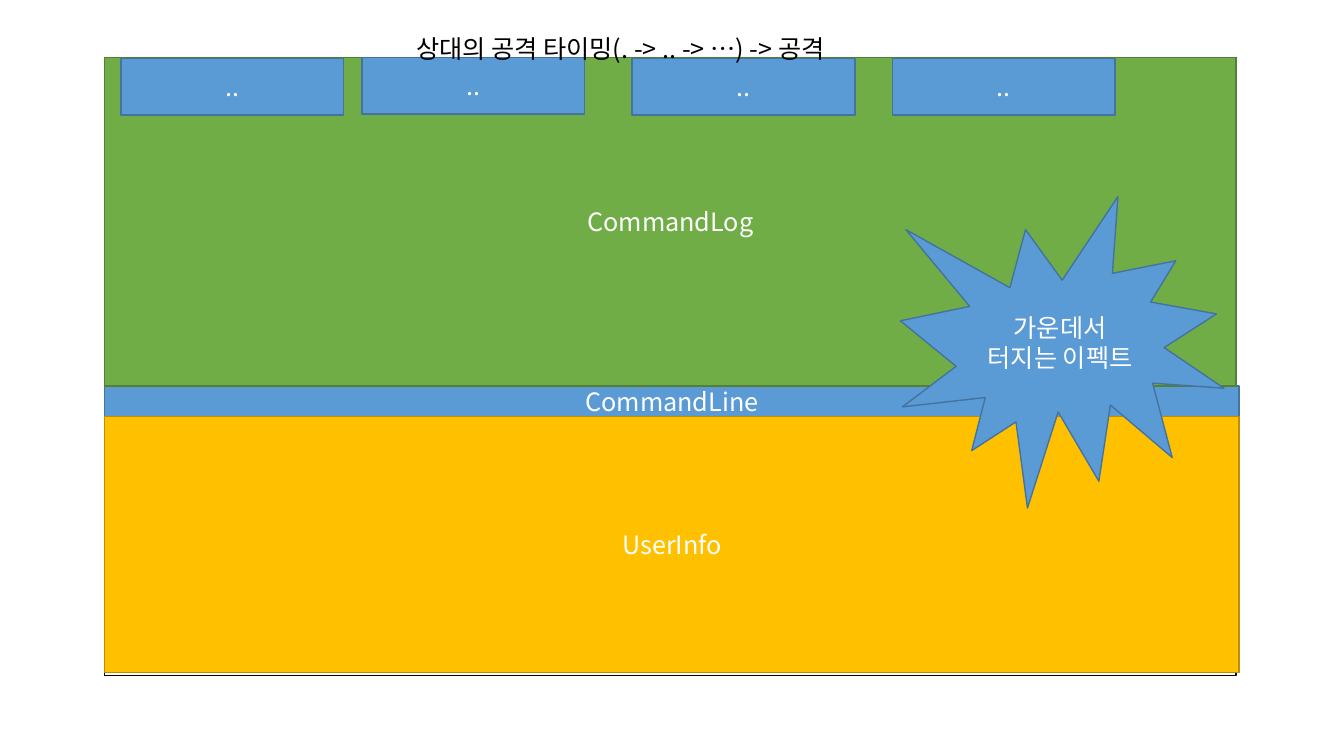
import pptx
import pptx.dml.color
import pptx.enum.shapes
import pptx.enum.text
import pptx.oxml.ns
import pptx.util
import lxml.etree

THEME = {
    "font": "Noto Sans CJK KR", "size": 18, "line": 1,
    "text": "FFFFFF", "caption": "000000",
    "frame": ("FFFFFF", "000000"),
    "blue": ("5B9BD5", "43739E"),
    "gold": ("FFC000", "BD8E00"),
    "green": ("70AD47", "538035"),
}
RECT = pptx.enum.shapes.MSO_SHAPE.RECTANGLE
BURST = pptx.enum.shapes.MSO_SHAPE.EXPLOSION1
RGB = pptx.dml.color.RGBColor.from_string

prs = pptx.Presentation()
prs.slide_width = pptx.util.Inches(13.33)
prs.slide_height = pptx.util.Inches(7.5)
s = prs.slides.add_slide(prs.slide_layouts[6])


def area(left, top, width, height):
    """Turn percentages of the slide's width and height into lengths."""
    return [round(share * side / 100) for share, side in zip(
        (left, top, width, height), (prs.slide_width, prs.slide_height) * 2)]


def add_run(p, text, colour):
    r = p.add_run()
    r.text = text
    r.font.name = THEME["font"]
    r.font.size = pptx.util.Pt(THEME["size"])
    r.font.color.rgb = RGB(colour)
    ea = lxml.etree.SubElement(r.font._element, pptx.oxml.ns.qn("a:ea"))
    ea.set("typeface", THEME["font"])


# Screen panels are stacked from the top edge of the frame
left, top = 7.8, 7.6
log_height, line_height, info_height = 43.47, 4, 33.87
narrow, wide = 84.17, 84.4
line_top = top + log_height
info_top = line_top + line_height

shapes = [
    (RECT, "frame", "", (left, top, narrow, 81.73)),
    (RECT, "blue", "CommandLine", (left, line_top, wide, line_height)),
    (RECT, "gold", "UserInfo", (left, info_top, wide, info_height)),
    (RECT, "green", "CommandLog", (left, top, narrow, log_height)),
    (BURST, "blue", "가운데서 터지는 이펙트", (66.99, 26, 24.08, 41.2)),
]
for slot_left, slot_top in ((9, 7.73), (26.93, 7.6), (47.04, 7.73), (66.39, 7.73)):
    shapes.append((RECT, "blue", "..", (slot_left, slot_top, 16.58, 7.47)))

for kind, colours, text, place in shapes:
    sp = s.shapes.add_shape(kind, *area(*place))
    sp.shadow.inherit = False
    fill, line = colours if isinstance(colours, tuple) else THEME[colours]
    sp.fill.solid()
    sp.fill.fore_color.rgb = RGB(fill)
    sp.line.color.rgb = RGB(line)
    sp.line.width = pptx.util.Pt(THEME["line"])
    if text:
        tf = sp.text_frame
        tf.word_wrap = True
        tf.vertical_anchor = pptx.enum.text.MSO_ANCHOR.MIDDLE
        p = tf.paragraphs[0]
        p.alignment = pptx.enum.text.PP_ALIGN.CENTER
        add_run(p, text, THEME["text"])

caption = s.shapes.add_textbox(*area(30.23, 3.73, 40.96, 5.33))
tf = caption.text_frame
tf.word_wrap = True
tf.auto_size = pptx.enum.text.MSO_AUTO_SIZE.SHAPE_TO_FIT_TEXT
add_run(tf.paragraphs[0], "상대의 공격 타이밍(. -> .. -> …) -> 공격", THEME["caption"])

prs.save("out.pptx")
